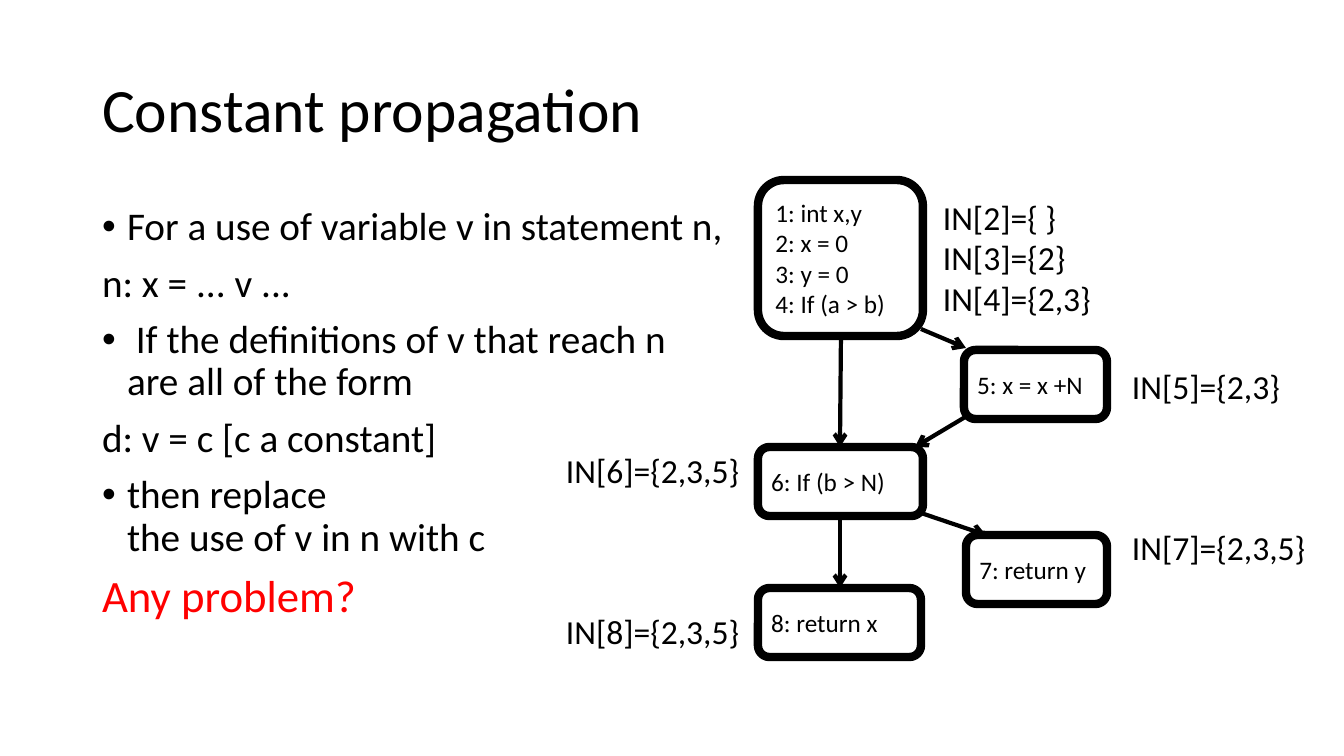
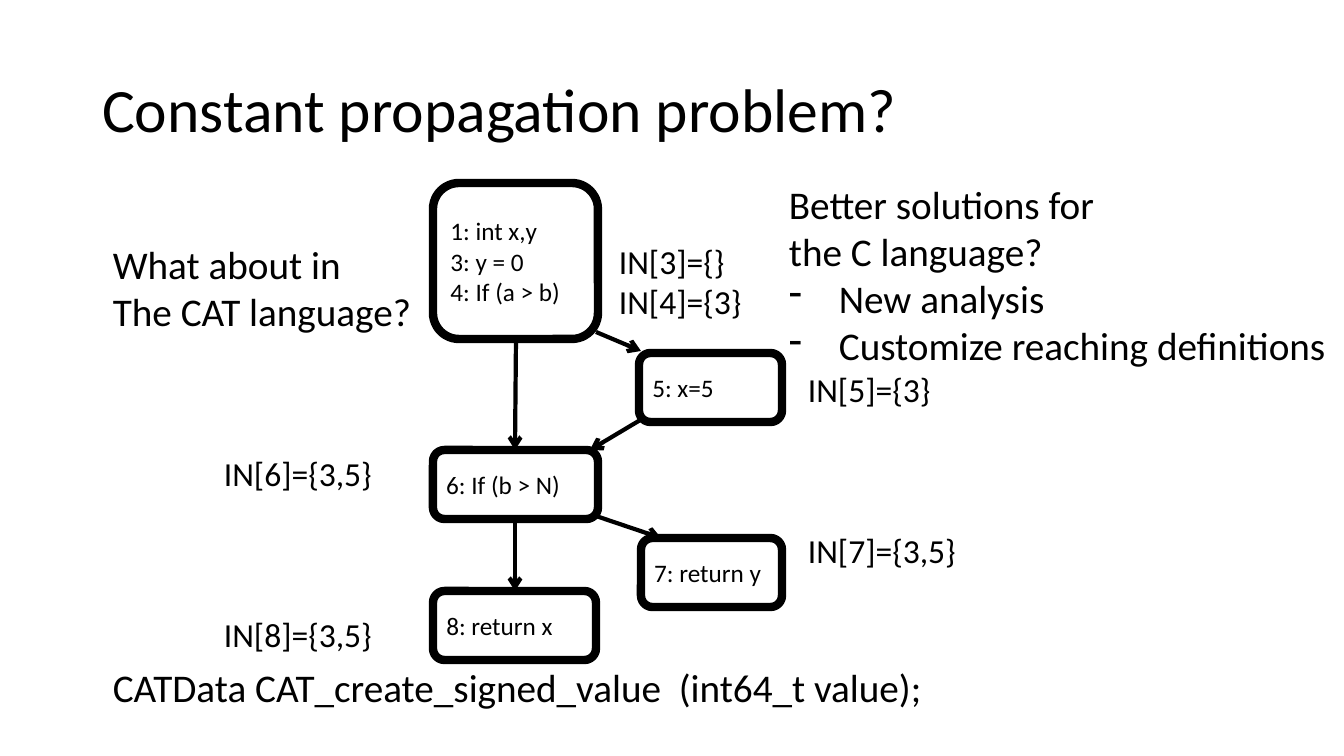
from lxml import etree
from pptx import Presentation
from pptx.dml.color import RGBColor
from pptx.enum.shapes import MSO_CONNECTOR, MSO_SHAPE
from pptx.enum.text import MSO_ANCHOR, MSO_AUTO_SIZE, PP_ALIGN
from pptx.oxml.ns import qn
from pptx.util import Emu, Pt

ROUNDED = MSO_SHAPE.ROUNDED_RECTANGLE
STRAIGHT = MSO_CONNECTOR.STRAIGHT
MIDDLE, TOP = MSO_ANCHOR.MIDDLE, MSO_ANCHOR.TOP
FIXED, GROW = MSO_AUTO_SIZE.NONE, MSO_AUTO_SIZE.SHAPE_TO_FIT_TEXT
LEFT = PP_ALIGN.LEFT

EMU_PER_PIXEL = 914400 / 100.8
PIXELS_PER_POINT = 1.4
FONT = "Calibri"
BLACK, RED = "000000", "FF0000"
TITLE_SIZE, BODY_SIZE, QUESTION_SIZE = 44, 28, 32
CODE_SIZE, SET_SIZE = 18, 24
LINE_HEIGHT = 1.2
TITLE_ONLY, TITLE_AND_BODY = 5, 1

TITLE_BOX = (92, 40, 1159, 146)
BODY_BOX = (92, 202, 658, 480)
BLOCK_BOXES = [
    (758, 180, 165, 156),
    (964, 350, 143, 69),
    (758, 447, 165, 69),
    (966, 535, 141, 69),
    (758, 588, 163, 69),
]
FLOW_EDGES = [
    (921, 329, 966, 348),
    (841, 337, 840, 447),
    (967, 416, 915, 447),
    (840, 515, 840, 588),
    (921, 513, 986, 535),
]


def px(pixels):
    """Turn pixels into EMU."""
    return Emu(round(pixels * EMU_PER_PIXEL))


def color(hex_code):
    """Turn a hex string into a colour."""
    return RGBColor.from_string(hex_code)


def format_paragraph(paragraph, size, hex_code=BLACK):
    """Align a paragraph left and style its runs."""
    paragraph.alignment = LEFT
    for run in paragraph.runs:
        run.font.name = FONT
        run.font.size = Pt(size)
        run.font.color.rgb = color(hex_code)


def set_bullet(paragraph, mark, indent):
    """Give a paragraph a hanging bullet, or none when mark is empty."""
    properties = paragraph._p.get_or_add_pPr()
    properties.set("marL", str(px(indent)))
    properties.set("indent", str(-px(indent)))
    if mark:
        etree.SubElement(properties, qn("a:buChar")).set("char", mark)
    else:
        etree.SubElement(properties, qn("a:buNone"))


def place_text(shape, box, anchor):
    """Move a placeholder and fix how its text sits."""
    shape.left, shape.top, shape.width, shape.height = map(px, box)
    frame = shape.text_frame
    frame.word_wrap = True
    frame.auto_size = FIXED
    frame.vertical_anchor = anchor
    return frame


def add_titled_slide(deck, layout, title):
    """Add a slide with the shared title style."""
    slide = deck.slides.add_slide(deck.slide_layouts[layout])
    frame = place_text(slide.shapes.title, TITLE_BOX, MIDDLE)
    frame.text = title
    heading = frame.paragraphs[0]
    heading.line_spacing = 0.9
    format_paragraph(heading, TITLE_SIZE)
    return slide


def fill_body(slide, items):
    """Fill the body with (text, bullet, size, colour) items."""
    frame = place_text(slide.placeholders[1], BODY_BOX, TOP)
    for index, (text, mark, size, hex_code) in enumerate(items):
        paragraph = frame.add_paragraph() if index else frame.paragraphs[0]
        paragraph.text = text
        paragraph.line_spacing = 0.9
        paragraph.space_before = Pt(10)
        set_bullet(paragraph, mark, 25 if mark else 0)
        format_paragraph(paragraph, size, hex_code)


def add_note(slide, left, top, width, lines, size, gap_lines=0):
    """Add unwrapped lines, the last one set apart by a gap."""
    line_points = size * LINE_HEIGHT
    text_points = line_points * (len(lines) + gap_lines)
    height = text_points * PIXELS_PER_POINT + 10
    note = slide.shapes.add_textbox(*map(px, (left, top, width, height)))
    frame = note.text_frame
    frame.word_wrap = False
    frame.auto_size = GROW
    frame.text = "\n".join(lines)
    for paragraph in frame.paragraphs:
        format_paragraph(paragraph, size)
    if gap_lines:
        frame.paragraphs[-1].space_before = Pt(line_points * gap_lines)
    return frame.paragraphs


def add_block(slide, box, code):
    """Add an outlined basic block holding its code."""
    block = slide.shapes.add_shape(ROUNDED, *map(px, box))
    block.shadow.inherit = False
    block.fill.background()
    block.line.color.rgb = color(BLACK)
    block.line.width = Pt(6)
    frame = block.text_frame
    frame.vertical_anchor = MIDDLE
    frame.text = code
    for paragraph in frame.paragraphs:
        format_paragraph(paragraph, CODE_SIZE)


def add_edge(slide, ends):
    """Add a control-flow arrow."""
    edge = slide.shapes.add_connector(STRAIGHT, *map(px, ends))
    edge.line.color.rgb = color(BLACK)
    edge.line.width = Pt(3)
    outline = edge.line._get_or_add_ln()
    etree.SubElement(outline, qn("a:tailEnd")).set("type", "arrow")
    etree.SubElement(edge._element.spPr, qn("a:effectLst"))


def add_flow_graph(slide, codes, dx=0, dy=0):
    """Add the control-flow graph, shifted by dx and dy."""
    for (left, top, width, height), code in zip(BLOCK_BOXES, codes):
        add_block(slide, (left + dx, top + dy, width, height), code)
    for x1, y1, x2, y2 in FLOW_EDGES:
        add_edge(slide, (x1 + dx, y1 + dy, x2 + dx, y2 + dy))


def build_propagation(deck):
    """Build the slide that states the rule."""
    slide = add_titled_slide(deck, TITLE_AND_BODY, "Constant propagation")
    fill_body(slide, [
        ("For a use of variable v in statement n,", "•", BODY_SIZE, BLACK),
        ("n: x = ... v ...", "", BODY_SIZE, BLACK),
        (" If the definitions of v that reach n \vare all of the form",
         "•", BODY_SIZE, BLACK),
        ("d: v = c [c a constant]", "", BODY_SIZE, BLACK),
        ("then replace \vthe use of v in n with c", "•", BODY_SIZE, BLACK),
        ("Any problem?", "", QUESTION_SIZE, RED),
    ])
    add_flow_graph(slide, [
        "1: int x,y\n2: x = 0\n3: y = 0\n4: If (a > b)",
        "5: x = x +N", "6: If (b > N)", "7: return y", "8: return x",
    ])
    add_note(slide, 1122, 361, 196, ["IN[5]={2,3}", "IN[7]={2,3,5}"], SET_SIZE, 3)
    add_note(slide, 933, 192, 170, ["IN[2]={ }", "IN[3]={2}", "IN[4]={2,3}"], SET_SIZE)
    add_note(slide, 556, 445, 196, ["IN[6]={2,3,5}", "IN[8]={2,3,5}"], SET_SIZE, 3)


def build_problem(deck):
    """Build the slide that raises the problem."""
    slide = add_titled_slide(deck, TITLE_ONLY, "Constant propagation problem?")
    add_note(slide, 103, 235, 848, [
        "What about in", "The CAT language?",
        "CATData CAT_create_signed_value  (int64_t value);",
    ], BODY_SIZE, 7)
    add_flow_graph(slide, [
        "1: int x,y\n3: y = 0\n4: If (a > b)",
        "5: x=5", "6: If (b > N)", "7: return y", "8: return x",
    ], dx=-325, dy=3)
    add_note(slide, 798, 364, 170, ["IN[5]={3}", "IN[7]={3,5}"], SET_SIZE, 3)
    add_note(slide, 609, 236, 145, ["IN[3]={}", "IN[4]={3}"], SET_SIZE)
    add_note(slide, 214, 448, 170, ["IN[6]={3,5}", "IN[8]={3,5}"], SET_SIZE, 3)
    solutions = add_note(slide, 779, 175, 565, [
        "Better solutions for", "the C language?",
        "New analysis", "Customize reaching definitions",
    ], BODY_SIZE)
    for option in solutions[2:]:
        set_bullet(option, "-", 50)


def main():
    """Build and save the deck."""
    deck = Presentation()
    deck.slide_width, deck.slide_height = px(1344), px(756)
    build_propagation(deck)
    build_problem(deck)
    deck.save("out.pptx")


main()
